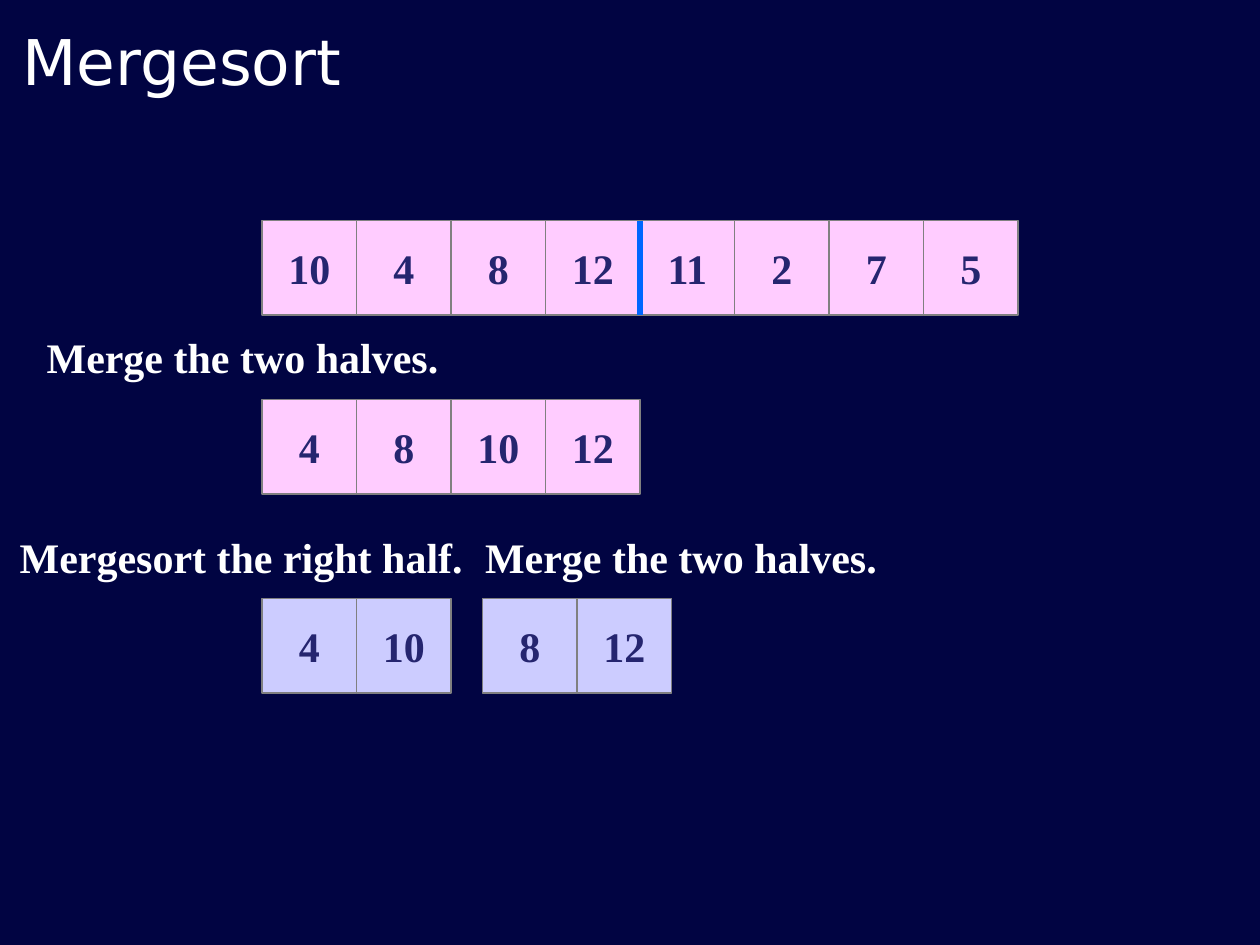
import pptx
import pptx.util
import pptx.dml.color
import pptx.enum.shapes
import pptx.enum.text
import pptx.oxml.ns
import lxml.etree

Inches = pptx.util.Inches
Pt = pptx.util.Pt

CELL = 0.75
ARRAY_LEFT = 2.08
BODY_FONT = "Times New Roman"
WHITE = "FFFFFF"
PINK = "FFCCFF"
LAVENDER = "CCCCFF"


def color(hex_code):
    return pptx.dml.color.RGBColor.from_string(hex_code)


def write(frame, text, size, font_name, hex_code, bold, align):
    frame.text = text
    paragraph = frame.paragraphs[0]
    paragraph.alignment = align
    font = paragraph.runs[0].font
    font.size = Pt(size)
    font.name = font_name
    font.bold = bold
    font.color.rgb = color(hex_code)


def write_centered(frame, text, hex_code):
    frame.word_wrap = False
    frame.vertical_anchor = pptx.enum.text.MSO_ANCHOR.MIDDLE
    write(frame, text, 24, BODY_FONT, hex_code, True, pptx.enum.text.PP_ALIGN.CENTER)


def add_title(slide, text):
    title = slide.shapes.title
    title.left, title.top = Inches(0.08), Inches(0.23)
    title.width, title.height = Inches(8.42), Inches(0.6)
    frame = title.text_frame
    frame.vertical_anchor = pptx.enum.text.MSO_ANCHOR.BOTTOM
    frame.auto_size = pptx.enum.text.MSO_AUTO_SIZE.NONE
    write(frame, text, 36, "DejaVu Sans", WHITE, False, pptx.enum.text.PP_ALIGN.LEFT)


def add_array(slide, left, top, values, fill):
    """Draw a grouped row of square cells, one for each value."""
    array = slide.shapes.add_group_shape()
    for index, value in enumerate(values):
        cell = array.shapes.add_shape(
            pptx.enum.shapes.MSO_SHAPE.RECTANGLE,
            Inches(left + index * CELL), Inches(top), Inches(CELL), Inches(CELL))
        cell.shadow.inherit = False
        cell.fill.solid()
        cell.fill.fore_color.rgb = color(fill)
        cell.line.color.rgb = color("808080")
        cell.line.width = Pt(0.75)
        write_centered(cell.text_frame, str(value), "25256F")


def add_divider(slide, x, top):
    divider = slide.shapes.add_connector(
        pptx.enum.shapes.MSO_CONNECTOR.STRAIGHT,
        Inches(x), Inches(top), Inches(x), Inches(top + CELL))
    divider.line.color.rgb = color("0066FF")
    divider.line.width = Pt(3)
    properties = divider._element.spPr
    lxml.etree.SubElement(properties, pptx.oxml.ns.qn("a:effectLst"))


def add_step(slide, left, top, width, text):
    step = slide.shapes.add_textbox(Inches(left), Inches(top), Inches(width), Inches(0.5))
    step.text_frame.auto_size = pptx.enum.text.MSO_AUTO_SIZE.SHAPE_TO_FIT_TEXT
    write_centered(step.text_frame, text, WHITE)


def main():
    deck = pptx.Presentation()
    deck.slide_width, deck.slide_height = Inches(10), Inches(7.5)
    slide = deck.slides.add_slide(deck.slide_layouts[5])
    slide.background.fill.solid()
    slide.background.fill.fore_color.rgb = color("010442")

    add_title(slide, "Mergesort")

    # Whole array, split in the middle
    numbers = [10, 4, 8, 12, 11, 2, 7, 5]
    add_array(slide, ARRAY_LEFT, 1.75, numbers, PINK)
    add_divider(slide, ARRAY_LEFT + len(numbers) // 2 * CELL, 1.75)

    # Sorted left half
    add_step(slide, 0.27, 2.58, 3.31, "Merge the two halves.")
    add_array(slide, ARRAY_LEFT, 3.17, [4, 8, 10, 12], PINK)

    # Sorted quarters
    add_step(slide, 0.04, 4.17, 3.75, "Mergesort the right half.")
    add_step(slide, 3.75, 4.17, 3.31, "Merge the two halves.")
    add_array(slide, ARRAY_LEFT, 4.75, [4, 10], LAVENDER)
    add_array(slide, 3.83, 4.75, [8, 12], LAVENDER)

    deck.save("out.pptx")


if __name__ == "__main__":
    main()
